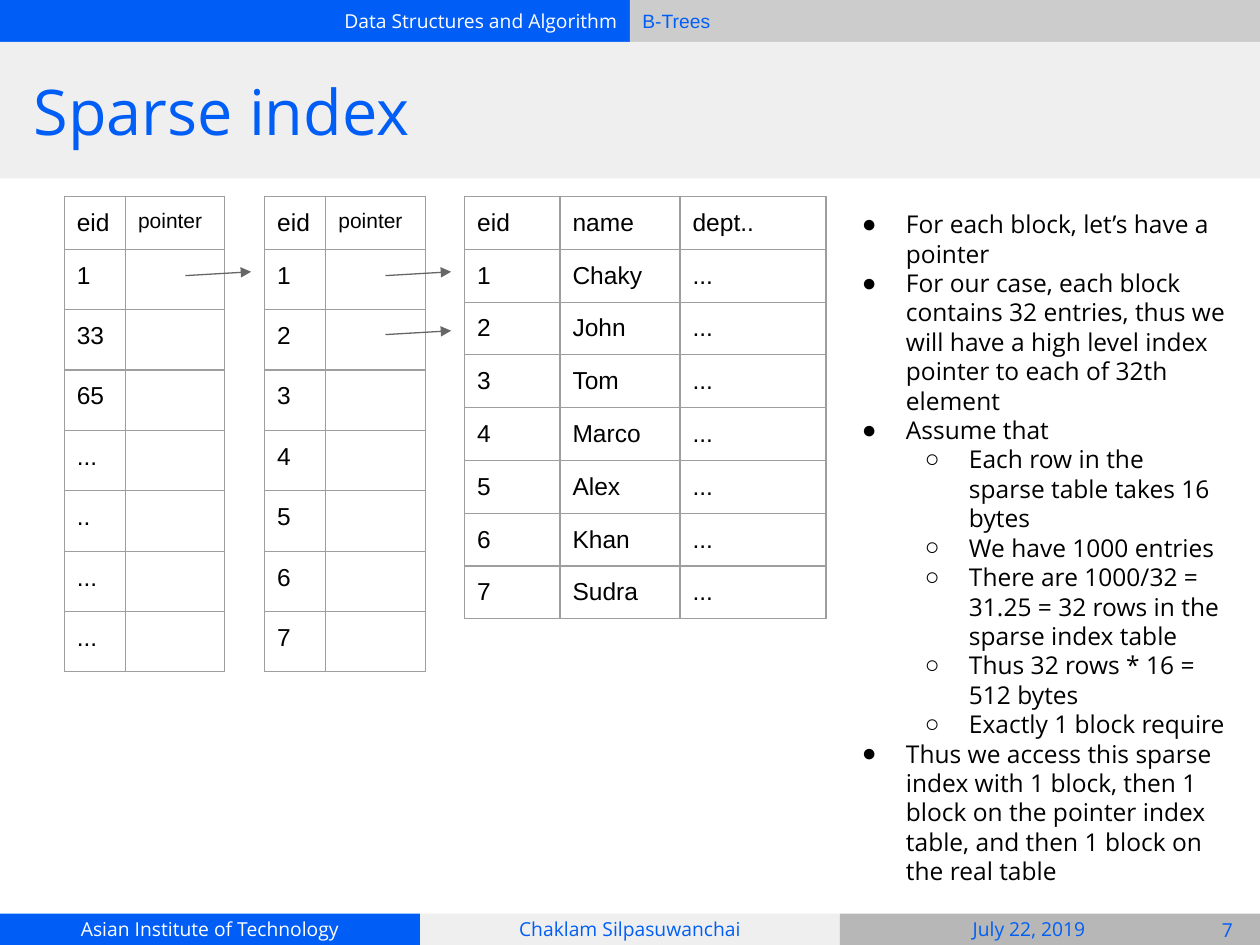
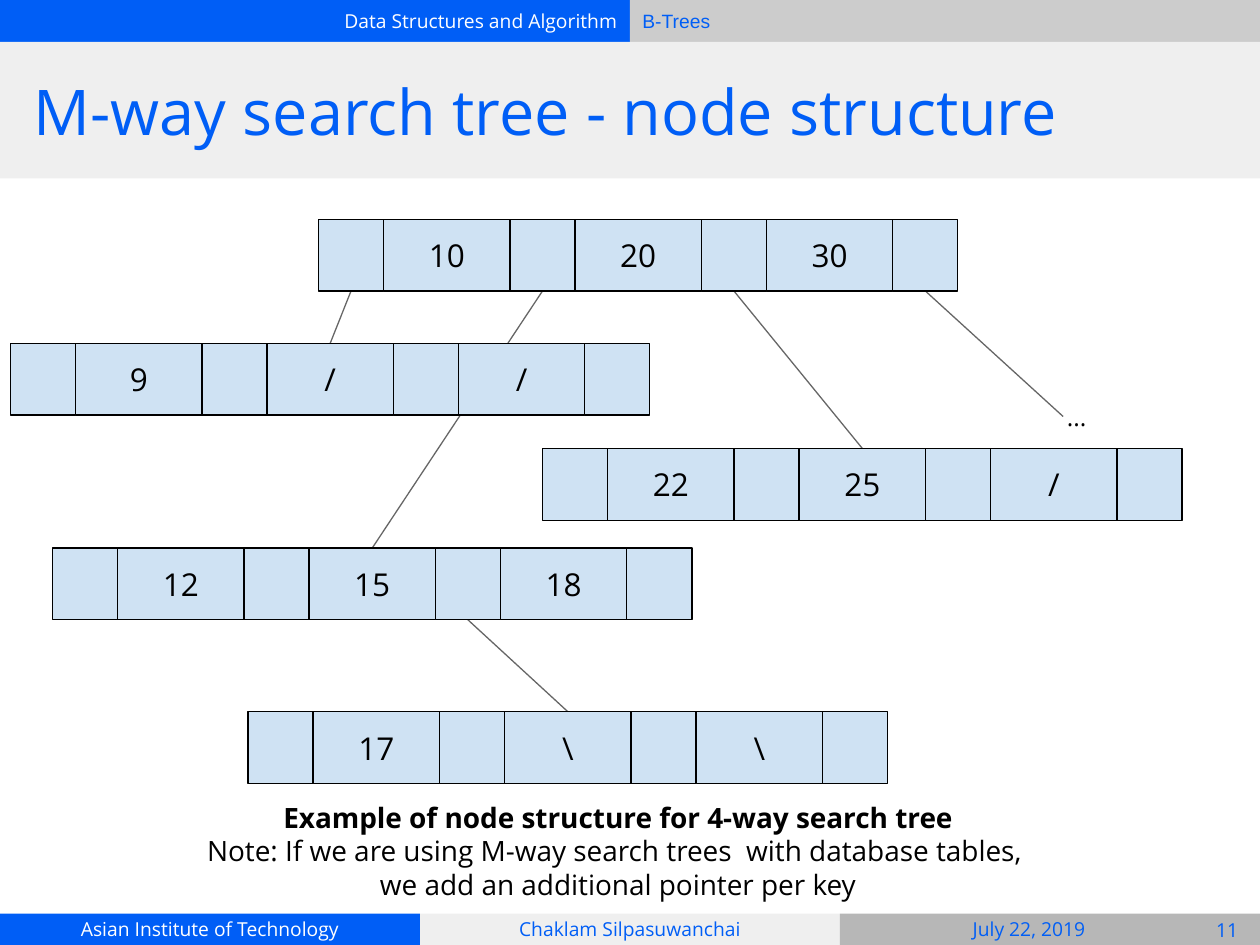
from lxml import etree
from pptx import Presentation
from pptx.dml.color import RGBColor
from pptx.enum.shapes import MSO_CONNECTOR, MSO_SHAPE
from pptx.enum.text import MSO_ANCHOR, MSO_AUTO_SIZE, PP_ALIGN
from pptx.oxml.ns import qn
from pptx.util import Pt

LEFT, CENTER, RIGHT = PP_ALIGN.LEFT, PP_ALIGN.CENTER, PP_ALIGN.RIGHT
TOP, MIDDLE = MSO_ANCHOR.TOP, MSO_ANCHOR.MIDDLE
RECT, STRAIGHT = MSO_SHAPE.RECTANGLE, MSO_CONNECTOR.STRAIGHT
NO_AUTOFIT = MSO_AUTO_SIZE.NONE

WIDTH, HEIGHT = 720, 540
HEADER_H, TITLE_H, FOOTER_H = 24, 78, 18
INSET = 7.2
TITLE_AND_BODY, TITLE_ONLY = 1, 5

BLUE, WHITE, BLACK = "005EF6", "FFFFFF", "000000"
PALE, SILVER, GRAY = "EFEFEF", "CCCCCC", "B7B7B7"
NODE_FILL, LINK, GRID = "CFE2F3", "666666", "9E9E9E"
OPEN_SANS, ARIAL = "Open Sans", "Arial"

# Search tree node: pointer slots alternate with keys
SLOT_W, KEY_W, NODE_H = 37.2, 72.2, 41
HEADER_ROW, TABLE_TOP = 30.1, 112.3


def rgb(hex_color):
    return RGBColor.from_string(hex_color)


def write(paragraph, text, size=14, color=BLACK, font=OPEN_SANS, bold=False, align=LEFT):
    paragraph.alignment = align
    paragraph.space_before = Pt(0)
    run = paragraph.add_run()
    run.text = text
    run.font.name, run.font.size, run.font.bold = font, Pt(size), bold
    run.font.color.rgb = rgb(color)


def set_frame(frame, anchor):
    frame.word_wrap = True
    frame.auto_size = NO_AUTOFIT
    frame.vertical_anchor = anchor
    frame.margin_left = frame.margin_right = Pt(INSET)
    frame.margin_top = frame.margin_bottom = Pt(INSET)


def place(shape, left, top, width, height):
    shape.left, shape.top = Pt(left), Pt(top)
    shape.width, shape.height = Pt(width), Pt(height)


def add_bullet(paragraph, char, indent):
    props = paragraph._p.get_or_add_pPr()
    props.set("marL", str(Pt(indent)))
    props.set("indent", str(-Pt(25.2)))
    color = etree.SubElement(props, qn("a:buClr"))
    etree.SubElement(color, qn("a:srgbClr"), val=BLACK)
    etree.SubElement(props, qn("a:buChar"), char=char)


def add_borders(cell):
    props = cell._tc.get_or_add_tcPr()
    for side in ("lnL", "lnR", "lnT", "lnB"):
        border = etree.SubElement(props, qn(f"a:{side}"), w=str(Pt(0.75)))
        fill = etree.SubElement(border, qn("a:solidFill"))
        etree.SubElement(fill, qn("a:srgbClr"), val=GRID)


class Deck:
    def __init__(self):
        self.prs = Presentation()
        self.prs.slide_width, self.prs.slide_height = Pt(WIDTH), Pt(HEIGHT)
        self.slide = None

    def new_slide(self, title, number, layout):
        """Start a slide with the shared bands, title and footer."""
        self.slide = self.prs.slides.add_slide(self.prs.slide_layouts[layout])
        half, third, foot = WIDTH / 2, WIDTH / 3, HEIGHT - FOOTER_H
        self.box(0, 0, half, HEADER_H, BLUE, "Data Structures and Algorithm",
                 size=11, color=WHITE, align=RIGHT)
        self.box(half, 0, half, HEADER_H, SILVER, "B-Trees",
                 size=11, color=BLUE, font=ARIAL)
        self.box(0, foot, third, FOOTER_H, BLUE, "Asian Institute of Technology",
                 size=11, color=WHITE, align=CENTER)
        footer = dict(size=11, color=BLUE, align=CENTER)
        self.box(third, foot, third, FOOTER_H, PALE, "Chaklam Silpasuwanchai", **footer)
        self.box(2 * third, foot, third, FOOTER_H, GRAY)
        self.text(486, foot, 204, FOOTER_H, ["July 22, 2019"], MIDDLE, **footer)
        self.text(682.6, foot + 0.5, 37.4, FOOTER_H - 0.5, [number], MIDDLE, **footer)

        self.box(0, HEADER_H, WIDTH, TITLE_H, PALE)
        heading = self.slide.shapes.title
        self.slide.shapes._spTree.append(heading._element)
        place(heading, 12, HEADER_H, 696, TITLE_H)
        set_frame(heading.text_frame, MIDDLE)
        write(heading.text_frame.paragraphs[0], title, size=36, color=BLUE)

    def box(self, left, top, width, height, fill, text="", outline=None, shapes=None, **fmt):
        shape = (shapes or self.slide.shapes).add_shape(
            RECT, Pt(left), Pt(top), Pt(width), Pt(height))
        shape.shadow.inherit = False
        shape.fill.solid()
        shape.fill.fore_color.rgb = rgb(fill)
        if outline:
            shape.line.color.rgb = rgb(outline)
            shape.line.width = Pt(0.75)
        else:
            shape.line.fill.background()
        if text:
            set_frame(shape.text_frame, MIDDLE)
            write(shape.text_frame.paragraphs[0], text, **fmt)

    def text(self, left, top, width, height, lines, anchor=TOP, bold_first=False, **fmt):
        frame = self.slide.shapes.add_textbox(
            Pt(left), Pt(top), Pt(width), Pt(height)).text_frame
        set_frame(frame, anchor)
        for i, line in enumerate(lines):
            paragraph = frame.add_paragraph() if i else frame.paragraphs[0]
            write(paragraph, line, bold=bold_first and i == 0, **fmt)

    def bullets(self, left, top, width, height, items):
        """Fill the body placeholder with (level, text) items."""
        body = self.slide.placeholders[1]
        place(body, left, top, width, height)
        set_frame(body.text_frame, TOP)
        for i, (level, line) in enumerate(items):
            paragraph = body.text_frame.add_paragraph() if i else body.text_frame.paragraphs[0]
            paragraph.level = level
            write(paragraph, line)
            add_bullet(paragraph, "●○"[level], 36 * (level + 1))

    def table(self, left, col_widths, row_height, rows):
        height = HEADER_ROW + row_height * (len(rows) - 1)
        table = self.slide.shapes.add_table(
            len(rows), len(col_widths), Pt(left), Pt(TABLE_TOP),
            Pt(sum(col_widths)), Pt(height)).table
        table.first_row = table.horz_banding = False
        for column, width in zip(table.columns, col_widths):
            column.width = Pt(width)
        for r, values in enumerate(rows):
            table.rows[r].height = Pt(row_height if r else HEADER_ROW)
            for c, value in enumerate(values):
                cell = table.cell(r, c)
                add_borders(cell)
                cell.fill.background()
                cell.margin_left = cell.margin_right = Pt(INSET)
                cell.margin_top = cell.margin_bottom = Pt(INSET if value else 0)
                if value:
                    write(cell.text_frame.paragraphs[0], value, font=ARIAL,
                          size=12 if value == "pointer" else 14)

    def line(self, start, end, arrow=False):
        link = self.slide.shapes.add_connector(STRAIGHT, *map(Pt, start + end))
        link.line.color.rgb = rgb(LINK)
        link.line.width = Pt(0.75)
        if arrow:
            etree.SubElement(link.line._get_or_add_ln(), qn("a:tailEnd"), type="triangle")
        etree.SubElement(link._element.spPr, qn("a:effectLst"))

    def node(self, left, top, keys):
        shapes = self.slide.shapes.add_group_shape().shapes
        style = dict(outline=BLACK, shapes=shapes, size=18, align=CENTER)
        for i in range(len(keys) + 1):
            slot_left = left + i * (SLOT_W + KEY_W)
            self.box(slot_left, top, SLOT_W, NODE_H, NODE_FILL, **style)
            if i < len(keys):
                self.box(slot_left + SLOT_W, top, KEY_W, NODE_H, NODE_FILL, keys[i], **style)


def slot_bottom(node, slot):
    left, top, _ = node
    return left + slot * (SLOT_W + KEY_W) + SLOT_W / 2, top + NODE_H


def node_top(node):
    left, top, keys = node
    return left + (len(keys) * (SLOT_W + KEY_W) + SLOT_W) / 2, top


def sparse_index(deck):
    deck.new_slide("Sparse index", "7", TITLE_AND_BODY)
    names = ["Chaky", "John", "Tom", "Marco", "Alex", "Khan", "Sudra"]
    records = [(str(eid), name, "...") for eid, name in enumerate(names, 1)]
    deck.table(265.5, [54.5, 68.6, 83.4], HEADER_ROW, [("eid", "name", "dept..")] + records)
    deck.bullets(474.5, TABLE_TOP, 233.3, 379.5, [
        (0, "For each block, let’s have a pointer"),
        (0, "For our case, each block contains 32 entries, thus we will have a high level "
            "index pointer to each of 32th element"),
        (0, "Assume that"),
        (1, "Each row in the sparse table takes 16 bytes"),
        (1, "We have 1000 entries"),
        (1, "There are 1000/32 = 31.25 = 32 rows in the sparse index table"),
        (1, "Thus 32 rows * 16 = 512 bytes"),
        (1, "Exactly 1 block require"),
        (0, "Thus we access this sparse index with 1 block, then 1 block on the pointer index "
            "table, and then 1 block on the real table"),
    ])
    sparse_eids = ["1", "33", "65", "...", "..", "...", "..."]
    dense_eids = [record[0] for record in records]
    for left, eids in ((36.7, sparse_eids), (151.2, dense_eids)):
        deck.table(left, [35, 56.8], 34.5, [("eid", "pointer")] + [(eid, "") for eid in eids])
    for left, top in ((106, 155.3), (220.3, 155.3), (220.3, 189)):
        deck.line((left, top + 2.2), (left + 37.5, top), arrow=True)


def search_tree(deck):
    deck.new_slide("M-way search tree - node structure", "11", TITLE_ONLY)
    root = (182, 125.3, ["10", "20", "30"])
    below_10 = (6, 196.2, ["9", "/", "/"])
    from_12 = (30, 313.2, ["12", "15", "18"])
    from_22 = (310.1, 256.3, ["22", "25", "/"])
    only_17 = (141.8, 406.7, ["17", "\\", "\\"])
    links = [(root, 0, below_10), (root, 1, from_12), (root, 2, from_22), (from_12, 2, only_17)]
    for parent, slot, child in links:
        deck.line(slot_bottom(parent, slot), node_top(child))
    deck.line(slot_bottom(root, 3), (607.5, 238))
    for node in (root, below_10, from_12, from_22, only_17):
        deck.node(*node)
    deck.text(602.5, 222.5, 87, 41, ["..."])
    deck.text(40.5, 450, 625.5, 41, [
        "Example of node structure for 4-way search tree",
        "Note: If we are using M-way search trees  with database tables, ",
        "we add an additional pointer per key",
    ], bold_first=True, size=16, align=CENTER)


def main():
    deck = Deck()
    sparse_index(deck)
    search_tree(deck)
    deck.prs.save("out.pptx")


if __name__ == "__main__":
    main()
